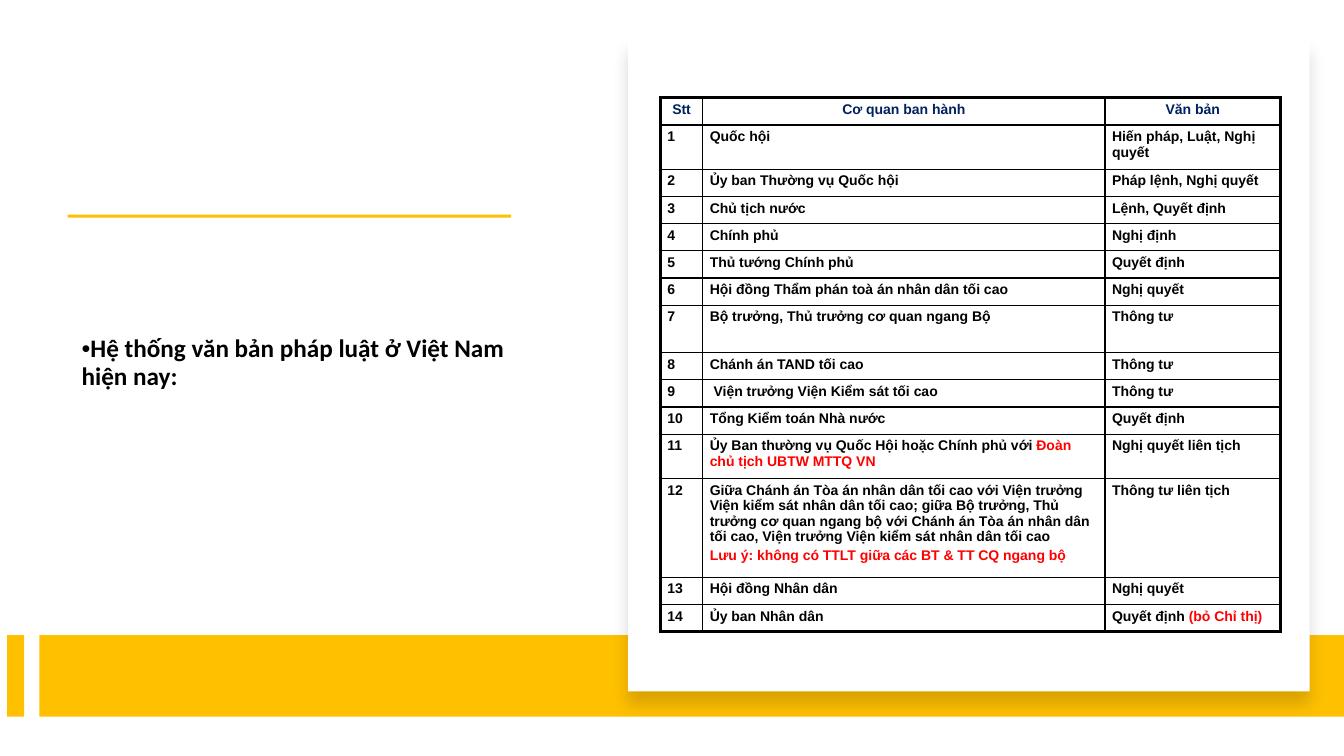
from lxml import etree
from pptx import Presentation, util as u
from pptx.dml.color import RGBColor
from pptx.enum import shapes, text
from pptx.oxml.ns import qn

GOLD = RGBColor(0xFF, 0xC0, 0x00)
WHITE = RGBColor(0xFF, 0xFF, 0xFF)
BLACK = RGBColor(0, 0, 0)
NAVY = RGBColor(0x00, 0x20, 0x60)
RED = RGBColor(0xFF, 0, 0)

# Content: a bar starts red text, a line break starts a paragraph;
# tone marks given as escapes are combining characters
TOPIC = "Hệ thống văn bản pháp luật ở Việt Nam hiện nay:"
HEAD = ("Stt", "Cơ quan ban hành", "Văn ba\u0309n")
DECREE = "Nghi\u0323 quyê\u0301t"
ORDER = "Quyê\u0301t đi\u0323nh"
BODIES = [
    ("Quô\u0301c hô\u0323i", "Hiê\u0301n pha\u0301p, Luâ\u0323t, " + DECREE),
    ("U\u0309y ban Thươ\u0300ng vu\u0323 Quô\u0301c hô\u0323i",
     "Pha\u0301p lê\u0323nh, " + DECREE),
    ("Chu\u0309 ti\u0323ch nươ\u0301c", "Lê\u0323nh, " + ORDER),
    ("Chi\u0301nh phu\u0309", "Nghi\u0323 đi\u0323nh"),
    ("Thu\u0309 tươ\u0301ng Chi\u0301nh phu\u0309", ORDER),
    ("Hội đồng Thẩm phán toà án nhân dân tối cao", DECREE),
    ("Bô\u0323 trươ\u0309ng, Thu\u0309 trươ\u0309ng cơ quan ngang Bô\u0323",
     "Thông tư"),
    ("Cha\u0301nh a\u0301n TAND tối cao", "Thông tư"),
    (" Viê\u0323n trươ\u0309ng Viê\u0323n Kiê\u0309m sa\u0301t tô\u0301i cao",
     "Thông tư"),
    ("Tổng Kiểm toán Nhà nước", "Quyết định"),
    ("Ủy Ban thường vụ Quốc Hội hoặc Chính phủ với "
     "|Đoàn chủ tịch UBTW MTTQ VN", "Nghị quyết liên tịch"),
    ("Giữa Chánh án Tòa án nhân dân tối cao với Viện trưởng Viện kiểm sát "
     "nhân dân tối cao; giữa Bộ trưởng, Thủ trưởng cơ quan ngang bộ với "
     "Chánh án Tòa án nhân dân tối cao, Viện trưởng Viện kiểm sát nhân dân "
     "tối cao\n|Lưu ý: không có TTLT giữa các BT & TT CQ ngang bộ",
     "Thông tư liên tịch"),
    ("Hô\u0323i đô\u0300ng Nhân dân", DECREE),
    ("U\u0309y ban Nhân dân", ORDER + " |(bỏ Chỉ thị)"),
]
ROWS = [HEAD] + [(str(n), *row) for n, row in enumerate(BODIES, 1)]
WIDTHS = (0.42, 3.99, 1.74)
LOW = 0.27
TALL = {1: 0.44, 7: 0.47, 11: 0.44, 12: 0.98}
THIN, THICK = 1, 2.25

deck = Presentation()
deck.slide_width, deck.slide_height = u.Inches(13.33), u.Inches(7.5)
slide = deck.slides.add_slide(deck.slide_layouts[1])
slide.shapes.title.element.getparent().remove(slide.shapes.title.element)


def sub(top, tag, **keys):
    return etree.SubElement(top, qn(tag), {k: str(v) for k, v in keys.items()})


def write(frame, words, size=10, font="Arial", color=BLACK,
          align=text.PP_ALIGN.LEFT, before=2, line=None):
    """Fill a frame with bold text; parts after a bar are red."""
    for i, part in enumerate(words.split("\n")):
        para = frame.add_paragraph() if i else frame.paragraphs[0]
        para.alignment = align
        para.space_before = u.Pt(before)
        if line:
            para.line_spacing = line
        for tint, piece in zip((color, RED), part.split("|")):
            if piece:
                run = para.add_run()
                run.text = piece
                run.font.size, run.font.name = u.Pt(size), font
                run.font.bold, run.font.color.rgb = True, tint


def block(x, y, w, h, color):
    box = slide.shapes.add_shape(shapes.MSO_SHAPE.RECTANGLE,
                                 *map(u.Inches, (x, y, w, h)))
    box.shadow.inherit = False
    box.fill.solid()
    box.fill.fore_color.rgb = color
    box.line.fill.background()
    return box


def edge(cell, **sides):
    props = cell._tc.get_or_add_tcPr()
    for i, (side, width) in enumerate(sides.items()):
        line = etree.Element(qn("a:ln" + side), w=str(int(u.Pt(width))))
        sub(sub(line, "a:solidFill"), "a:srgbClr", val=BLACK)
        props.insert(i, line)


# Rule and topic on the left
block(0.67, 2.13, 4.4, 0.03, GOLD)
body = slide.placeholders[1]
body.left, body.top, body.width, body.height = map(
    u.Inches, (0.71, 2.22, 4.68, 3.84))
frame = body.text_frame
frame.vertical_anchor = text.MSO_ANCHOR.MIDDLE
frame.margin_bottom = u.Inches(1.12)
write(frame, TOPIC, size=18, font="Calibri", before=10, line=0.9)
props = frame.paragraphs[0]._p.get_or_add_pPr()
props.set("marL", "0")
props.set("indent", str(-u.Inches(0.25)))
sub(props, "a:buFont", typeface="Arial")
sub(props, "a:buChar", char="•")

# Gold footer and white panel
for x, w in ((0.07, 0.17), (0.39, 12.94)):
    block(x, 6.3, w, 0.81, GOLD)
panel = block(6.23, 0.39, 6.76, 6.47, WHITE)
glow = sub(panel._element.spPr.find(qn("a:effectLst")), "a:outerShdw",
           blurRad=int(u.Pt(11)), dist=int(u.Pt(10)), dir=5400000,
           algn="t", rotWithShape=0)
sub(sub(glow, "a:srgbClr", val=BLACK), "a:alpha", val=15000)

# Table of issuing bodies
highs = [TALL.get(r, LOW) for r in range(len(ROWS))]
table = slide.shapes.add_table(len(ROWS), len(WIDTHS), *map(
    u.Inches, (6.55, 0.97, sum(WIDTHS), sum(highs)))).table
table.first_row = table.horz_banding = False
for col, w in zip(table.columns, WIDTHS):
    col.width = u.Inches(w)
endrow, endcol = len(ROWS) - 1, len(WIDTHS) - 1
for r, (row, high) in enumerate(zip(ROWS, highs)):
    table.rows[r].height = u.Inches(high)
    look = {} if r else dict(color=NAVY, align=text.PP_ALIGN.CENTER)
    for c, words in enumerate(row):
        cell = table.cell(r, c)
        cell.fill.background()
        cell.margin_left = cell.margin_right = u.Inches(0.07)
        cell.margin_top = cell.margin_bottom = u.Inches(0.04)
        write(cell.text_frame, words, **look)
        edge(cell, L=THIN if c else THICK, R=THICK if c == endcol else THIN,
             T=THIN if r else THICK, B=THICK if r == endrow else THIN)

deck.save("out.pptx")
